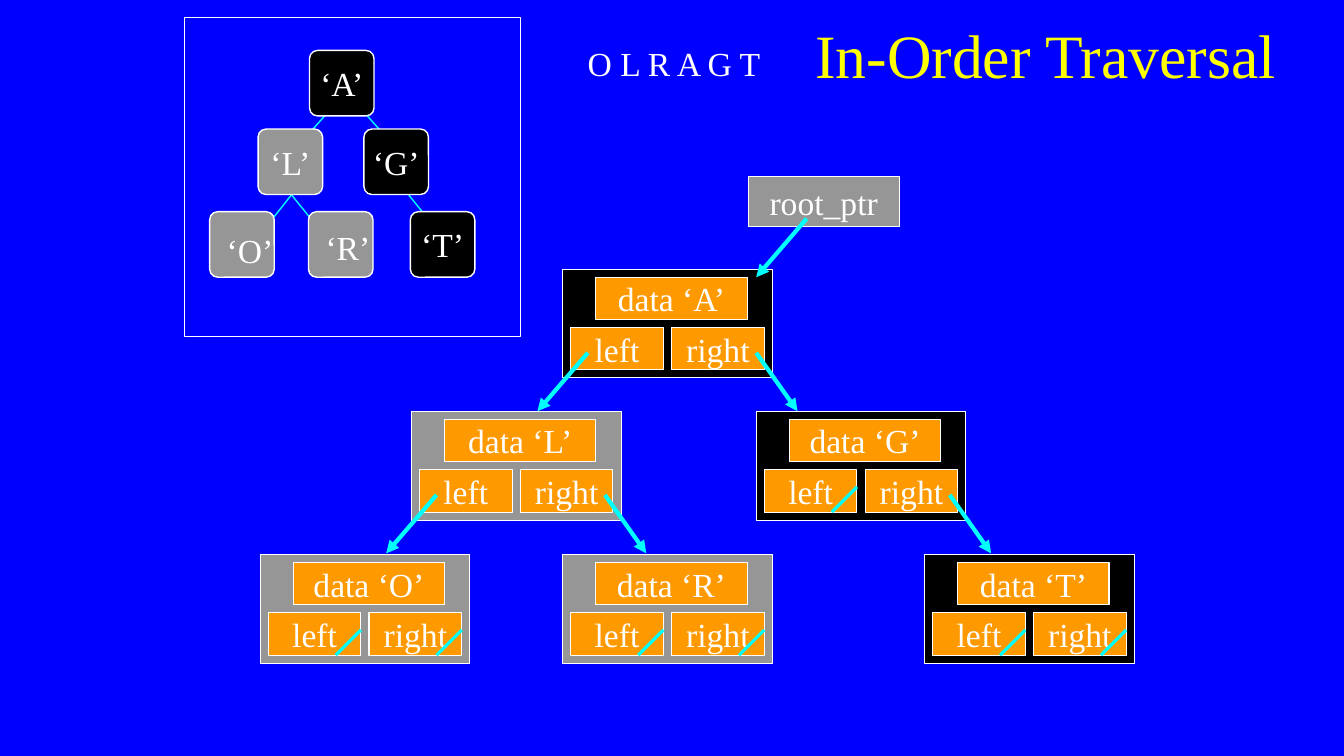
from lxml import etree
from pptx import Presentation
from pptx.dml.color import RGBColor
from pptx.enum.shapes import MSO_CONNECTOR, MSO_SHAPE
from pptx.enum.text import MSO_ANCHOR, MSO_AUTO_SIZE, PP_ALIGN
from pptx.oxml.ns import qn
from pptx.util import Inches, Pt

RECT, ROUNDED = MSO_SHAPE.RECTANGLE, MSO_SHAPE.ROUNDED_RECTANGLE
STRAIGHT = MSO_CONNECTOR.STRAIGHT
TOP, MIDDLE = MSO_ANCHOR.TOP, MSO_ANCHOR.MIDDLE
LEFT, CENTER = PP_ALIGN.LEFT, PP_ALIGN.CENTER
NO_FIT, GROW = MSO_AUTO_SIZE.NONE, MSO_AUTO_SIZE.SHAPE_TO_FIT_TEXT

BLUE = RGBColor(0x00, 0x00, 0xFF)
WHITE = RGBColor(0xFF, 0xFF, 0xFF)
BLACK = RGBColor(0x00, 0x00, 0x00)
GRAY = RGBColor(0x96, 0x96, 0x96)
ORANGE = RGBColor(0xFF, 0x99, 0x00)
CYAN = RGBColor(0x00, 0xFF, 0xFF)
YELLOW = RGBColor(0xFF, 0xFF, 0x00)

BODY_FONT = {"name": "Times New Roman", "size": Pt(24)}
TITLE_FONT = {"name": "Times New Roman", "size": Pt(44)}

TREE_EDGES = [
    (3.44, 0.92, 4.06, 1.62),
    (3.61, 0.71, 2.99, 1.41),
    (3.97, 1.83, 4.43, 2.4),
    (2.76, 1.77, 3.22, 2.34),
    (3.02, 1.77, 2.57, 2.34),
]
TREE_KEYS = [
    ("", 3.06, 2.1, GRAY),
    ("", 2.08, 2.1, GRAY),
    ("‘G’", 3.61, 1.28, BLACK),
    ("‘A’", 3.07, 0.5, BLACK),
    ("‘L’", 2.56, 1.28, GRAY),
    ("‘T’", 4.07, 2.1, BLACK),
]
RECORDS = [
    ("A", 5.58, 2.67, BLACK, True, True),
    ("L", 4.08, 4.08, GRAY, True, True),
    ("O", 2.58, 5.5, GRAY, False, False),
    ("G", 7.5, 4.08, BLACK, False, True),
    ("T", 9.17, 5.5, BLACK, False, False),
    ("R", 5.58, 5.5, GRAY, False, False),
]


def write(frame, text, color, font, align, **layout):
    for key, value in layout.items():
        setattr(frame, key, value)
    paragraph = frame.paragraphs[0]
    paragraph.alignment = align
    run = paragraph.add_run()
    run.text = text
    for key, value in font.items():
        setattr(run.font, key, value)
    run.font.color.rgb = color


def add_box(slide, bounds, fill=None, text="", kind=RECT, outline=0.75):
    box = slide.shapes.add_shape(kind, *map(Inches, bounds))
    box.shadow.inherit = False
    if fill is None:
        box.fill.background()
    else:
        box.fill.solid()
        box.fill.fore_color.rgb = fill
    box.line.color.rgb = WHITE
    box.line.width = Pt(outline)
    if kind == ROUNDED:
        box.adjustments[0] = 0.125
    if text:
        write(box.text_frame, text, WHITE, BODY_FONT, CENTER,
              word_wrap=False, vertical_anchor=MIDDLE)


def add_label(slide, text, bounds):
    label = slide.shapes.add_textbox(*map(Inches, bounds))
    write(label.text_frame, text, WHITE, BODY_FONT, LEFT,
          word_wrap=False, auto_size=GROW)


def add_line(slide, ends, width, arrow=False):
    line = slide.shapes.add_connector(STRAIGHT, *map(Inches, ends))
    line.line.color.rgb = CYAN
    line.line.width = Pt(width)
    if arrow:
        etree.SubElement(line.line._get_or_add_ln(), qn("a:tailEnd"), type="triangle")
    etree.SubElement(line._element.spPr, qn("a:effectLst"))


def add_record(slide, key, x, y, fill, has_left, has_right):
    add_box(slide, (x, y, 2.08, 1.08), fill)
    add_box(slide, (x + 0.33, y + 0.08, 1.5, 0.42), ORANGE, f"data ‘{key}’")
    pointers = [("left", 0.08, has_left, 0.25, -0.25),
                ("right", 1.08, has_right, 1.92, 2.33)]
    for name, offset, _, _, _ in pointers:
        add_box(slide, (x + offset, y + 0.58, 0.92, 0.42), ORANGE, name)
    for _, offset, has_child, start, end in pointers:
        if has_child:
            add_line(slide, (x + start, y + 0.83, x + end, y + 1.41), 3, arrow=True)
        else:
            corner = x + offset + 0.92
            add_line(slide, (corner, y + 0.75, corner - 0.25, y + 1), 2.25)


def add_tree(slide):
    add_box(slide, (1.83, 0.17, 3.33, 3.17))
    for ends in TREE_EDGES:
        add_line(slide, ends, 1)
    for text, x, y, fill in TREE_KEYS:
        add_box(slide, (x, y, 0.64, 0.65), fill, text, ROUNDED, 1)
    add_label(slide, "‘O’", (2.15, 2.23, 0.66, 0.5))
    add_label(slide, "‘R’", (3.13, 2.2, 0.65, 0.5))


def add_title(slide):
    title = slide.shapes.title
    place = {"left": 7.12, "top": 0.12, "width": 6.5, "height": 1.25}
    for side, length in place.items():
        setattr(title, side, Inches(length))
    write(title.text_frame, "In-Order Traversal", YELLOW, TITLE_FONT, CENTER,
          word_wrap=True, vertical_anchor=TOP, auto_size=NO_FIT)


def main():
    deck = Presentation()
    deck.slide_width, deck.slide_height = Inches(13.33), Inches(7.5)
    slide = deck.slides.add_slide(deck.slide_layouts[5])
    slide.background.fill.solid()
    slide.background.fill.fore_color.rgb = BLUE
    add_title(slide)
    add_tree(slide)
    for record in RECORDS:
        add_record(slide, *record)
    add_box(slide, (7.42, 1.75, 1.5, 0.5), GRAY, "root_ptr")
    add_line(slide, (8, 2.17, 7.5, 2.75), 3, arrow=True)
    add_label(slide, "O L R A G T", (5.73, 0.38, 1.97, 0.5))
    deck.save("out.pptx")


if __name__ == "__main__":
    main()
